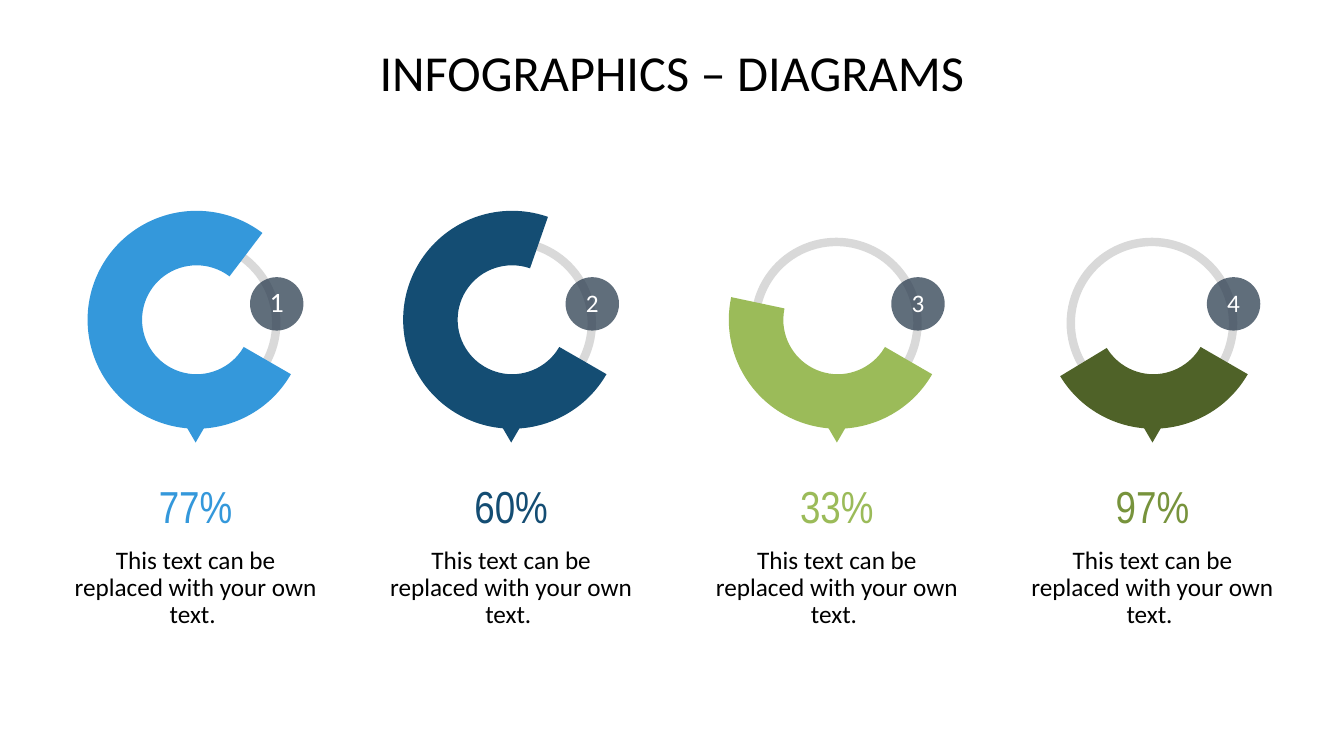
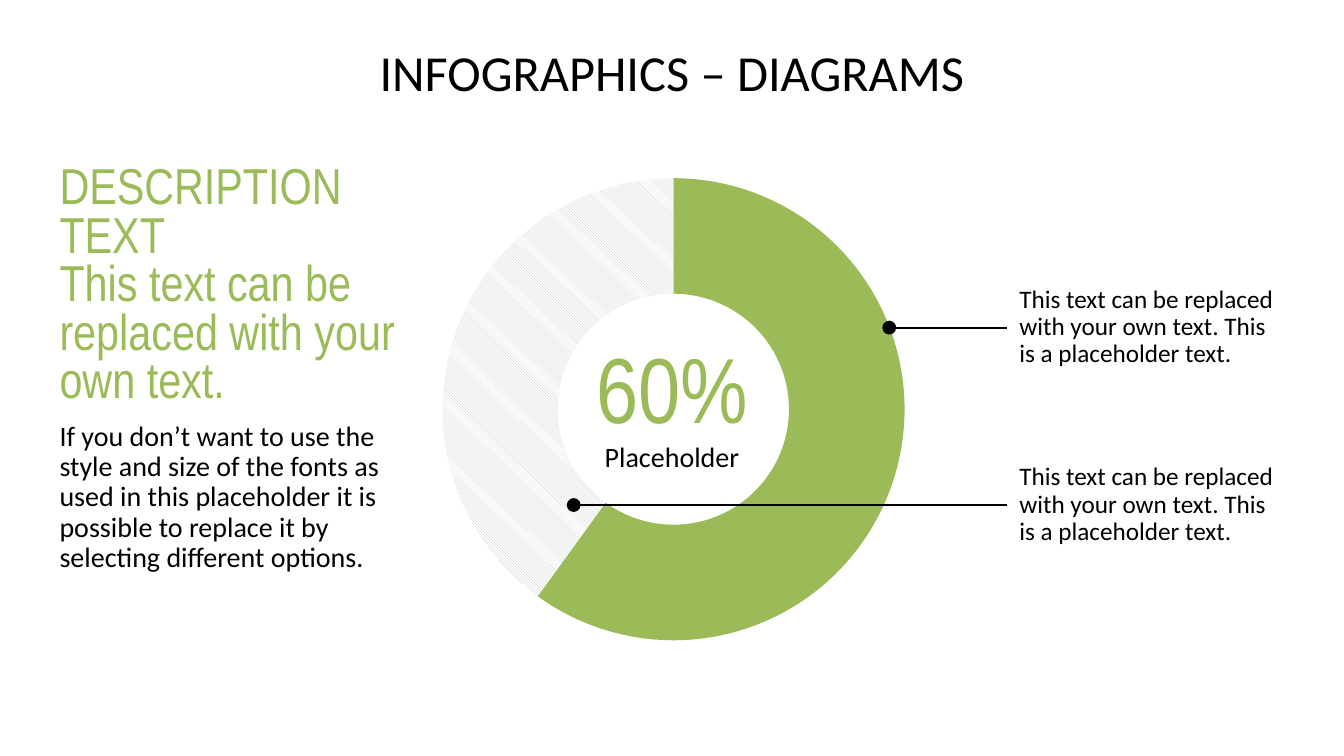
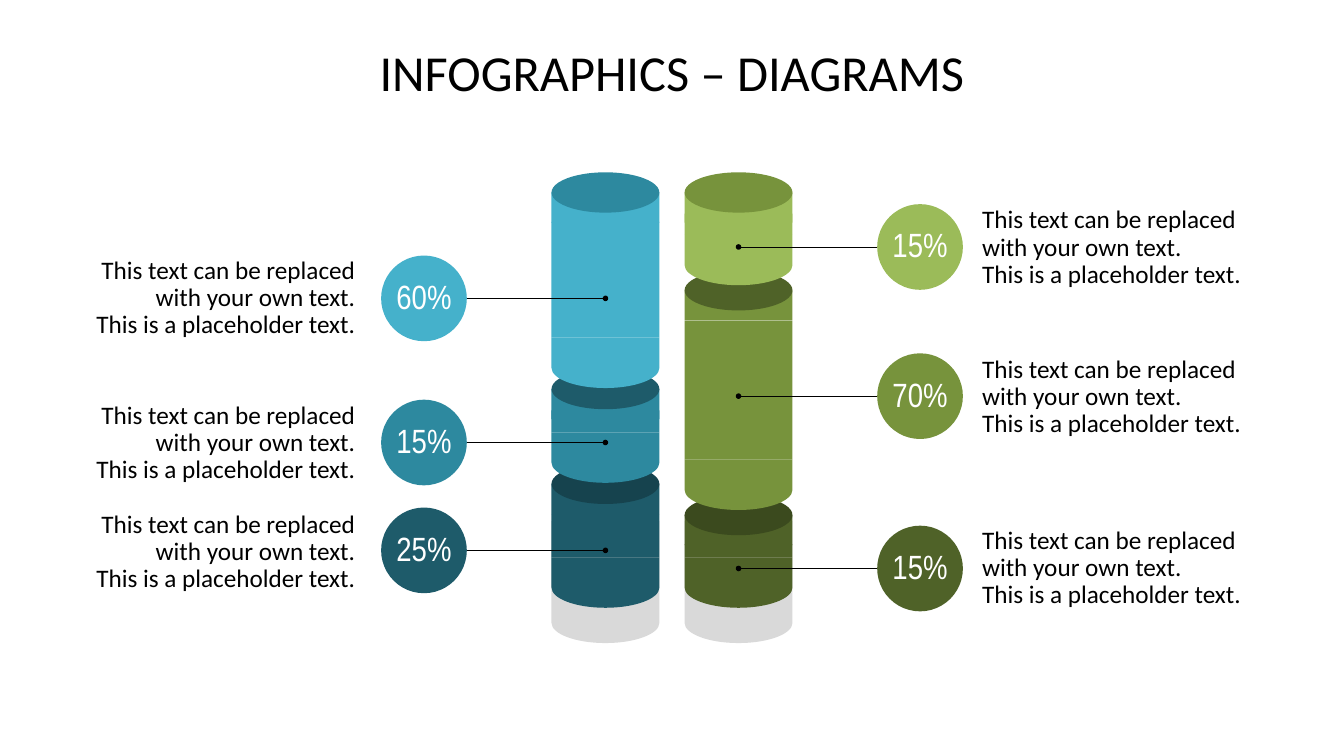
from dataclasses import dataclass

from lxml import etree
from pptx import Presentation
from pptx.chart.data import CategoryChartData
from pptx.dml.color import RGBColor
from pptx.enum.chart import XL_CHART_TYPE
from pptx.enum.dml import MSO_PATTERN
from pptx.enum.shapes import MSO_CONNECTOR, MSO_SHAPE
from pptx.enum.text import MSO_ANCHOR, MSO_AUTO_SIZE, PP_ALIGN
from pptx.oxml.ns import qn
from pptx.util import Inches, Pt

DOUGHNUT = XL_CHART_TYPE.DOUGHNUT
HATCH = MSO_PATTERN.LIGHT_DOWNWARD_DIAGONAL
STRAIGHT = MSO_CONNECTOR.STRAIGHT
OVAL, TRIANGLE = MSO_SHAPE.OVAL, MSO_SHAPE.ISOSCELES_TRIANGLE
RECTANGLE = MSO_SHAPE.RECTANGLE
TOP, MIDDLE = MSO_ANCHOR.TOP, MSO_ANCHOR.MIDDLE
LEFT, CENTER, RIGHT = PP_ALIGN.LEFT, PP_ALIGN.CENTER, PP_ALIGN.RIGHT


@dataclass(frozen=True)
class Theme:
    body_font: str = "Calibri"
    accent_font: str = "Arial Narrow"
    text: str = "000000"
    white: str = "FFFFFF"
    grey: str = "D9D9D9"
    hatch: str = "BFBFBF"
    badge: str = "2C3E50"
    blue: str = "3498DB"
    navy: str = "144D73"
    aqua: str = "45B1CB"
    teal: str = "2D899F"
    deep_teal: str = "1E5B6A"
    dark_teal: str = "16434E"
    lime: str = "9BBB59"
    green: str = "77933C"
    olive: str = "4F6228"
    dark_olive: str = "3B4A1E"
    title_size: int = 36
    body: int = 18
    large: int = 20
    label: int = 24
    figure: int = 32
    heading: int = 36
    hero: int = 66


T = Theme()
WIDTH, HEIGHT = 13.33, 7.5
MARGIN = 0.59
TITLE = "INFOGRAPHICS – DIAGRAMS"


# Text and shape helpers
def rgb(color):
    return RGBColor.from_string(color)


def style(font, size, color, name):
    font.size, font.name = Pt(size), name
    font.color.rgb = rgb(color)


def para(text, size=T.body, color=T.text, font=T.body_font, **layout):
    return text, size, color, font, layout


def write(tf, paras, align=LEFT, anchor=TOP, left=0, right=0):
    tf.word_wrap = True
    tf.auto_size = MSO_AUTO_SIZE.NONE
    tf.vertical_anchor = anchor
    tf.margin_left, tf.margin_right = Inches(left), Inches(right)
    tf.margin_top = tf.margin_bottom = 0
    for i, (text, size, color, font, layout) in enumerate(paras):
        p = tf.add_paragraph() if i else tf.paragraphs[0]
        p.text = text
        p.alignment = align
        p.line_spacing = layout.get("spacing", 0.9)
        p.space_after = Pt(layout.get("after", 10))
        style(p.font, size, color, font)


def text_box(s, x, y, w, h, paras, **layout):
    tb = s.shapes.add_textbox(*map(Inches, (x, y, w, h)))
    write(tb.text_frame, paras, **layout)
    return tb


def paint(sp, fill=None):
    sp.shadow.inherit = False
    sp.line.fill.background()
    if fill:
        sp.fill.solid()
        sp.fill.fore_color.rgb = rgb(fill)
    else:
        sp.fill.background()
    return sp


def add_shape(s, kind, x, y, w, h, fill=None):
    return paint(s.shapes.add_shape(kind, *map(Inches, (x, y, w, h))), fill)


def dotted_line(s, x1, x2, y, width, end, dot):
    line = s.shapes.add_connector(STRAIGHT, *map(Inches, (x1, y, x2, y)))
    line.line.color.rgb = rgb(T.text)
    line.line.width = Pt(width)
    ln = line._element.spPr.find(qn("a:ln"))
    etree.SubElement(ln, qn(f"a:{end}"), type="oval", w=dot, len=dot)
    etree.SubElement(line._element.spPr, qn("a:effectLst"))
    return line


def new_slide(prs):
    s = prs.slides.add_slide(prs.slide_layouts.get_by_name("Title Only"))
    title = s.shapes.title
    write(title.text_frame, [para(TITLE, T.title_size, after=0)], align=CENTER)
    return s


# Doughnut chart with a plot area given as shares of the frame
def doughnut(s, frame, categories, values, plot, hole, start, color):
    data = CategoryChartData()
    data.categories = categories
    data.add_series("Series 1", values)
    chart = s.shapes.add_chart(DOUGHNUT, *map(Inches, frame), data).chart
    chart.has_legend = chart.has_title = False
    style(chart.font, T.body, T.text, T.body_font)
    chart.plots[0].vary_by_categories = True
    points = chart.plots[0].series[0].points
    for i in range(2):
        points[i].format.line.fill.background()
    points[0].format.fill.solid()
    points[0].format.fill.fore_color.rgb = rgb(color)
    points[1].format.fill.background()

    area = chart._chartSpace.find(".//" + qn("c:plotArea"))
    for old in area.findall(qn("c:layout")):
        area.remove(old)
    layout = etree.Element(qn("c:layout"))
    area.insert(0, layout)
    manual = etree.SubElement(layout, qn("c:manualLayout"))
    settings = [("layoutTarget", "inner"), ("xMode", "edge"), ("yMode", "edge")]
    for tag, val in settings + list(zip("xywh", plot)):
        etree.SubElement(manual, qn(f"c:{tag}"), val=str(val))
    area.find(".//" + qn("c:firstSliceAng")).set("val", str(start))
    area.find(".//" + qn("c:holeSize")).set("val", str(hole))
    return points


# Slide 1: one gauge with its number, pointer and caption
def gauge(s, x, y, number, number_size, value, color, percent, percent_color):
    ring = add_shape(s, OVAL, x, y, 1.61, 1.61)
    ring.line.color.rgb = rgb(T.grey)
    ring.line.width = Pt(6)
    doughnut(s, (x - 0.68, y - 0.43, 2.97, 2.43), ["1", "", "", ""],
             (value, 100 - value, None, None),
             (0.14, 0.05, 0.73, 0.89), 55, 120, color)
    pointer = add_shape(s, TRIANGLE, x + 0.67, y + 1.75, 0.28, 0.24, color)
    pointer.rotation = 180
    badge = add_shape(s, OVAL, x + 1.35, y + 0.35, 0.53, 0.53, T.badge)
    clr = badge._element.spPr.find(".//" + qn("a:srgbClr"))
    etree.SubElement(clr, qn("a:alpha"), val="75000")
    write(badge.text_frame, [para(number, number_size, T.white)],
          align=CENTER, anchor=MIDDLE)
    text_box(s, x - 0.4, y + 2.41, 2.42, 1.54, [
        para(percent, T.figure, percent_color, T.accent_font),
        para("This text can be replaced with your own text. "),
    ], align=CENTER)


def gauges_slide(prs):
    s = new_slide(prs)
    for x, *content in (
        (1.13, "1", T.large, 77, T.blue, "77%", T.blue),
        (4.26, "2", T.body, 72, T.navy, "60%", T.navy),
        (7.49, "3", T.body, 45, T.lime, "33%", T.lime),
        (10.62, "4", T.body, 33, T.olive, "97%", T.green),
    ):
        gauge(s, x, 2.4, *content)


# Slide 2: description, large doughnut and two notes
def hero_chart(s, x, y):
    points = doughnut(s, (x, y, 4.99, 4.93), ["1", "2", ""], (60, 40, None),
                      (0.05, 0.03, 0.93, 0.93), 61, 0, T.lime)
    rest = points[1].format.fill
    rest.patterned()
    rest.pattern = HATCH
    rest.fore_color.rgb, rest.back_color.rgb = rgb(T.hatch), rgb(T.white)
    centre = add_shape(s, OVAL, x + 1.31, y + 1.19, 2.49, 2.49)
    tf = centre.text_frame
    write(tf, [para("60%\n", T.hero, T.lime, T.accent_font)],
          align=CENTER, anchor=MIDDLE)
    r = tf.paragraphs[0].add_run()
    r.text = "Placeholder"
    style(r.font, T.large, T.text, T.body_font)


def note(s, x, y, dot_x):
    w, h = 2.71, 1.16
    box = text_box(s, x, y - h / 2, w, h, [para(
        "This text can be replaced \n"
        "with your own text. This is a placeholder text.")],
        anchor=MIDDLE, left=0.12)
    dotted_line(s, dot_x, x, y, 1.5, "headEnd", "lg").end_connect(box, 1)


def doughnut_slide(prs):
    s = new_slide(prs)
    hero_chart(s, 4.11, 1.62)
    text_box(s, MARGIN, 1.65, 3.51, 4.7, [
        para("DESCRIPTION TEXT\nThis text can be replaced with your own text.",
             T.heading, T.lime, T.accent_font, spacing=0.8),
        para("If you don’t want to use the style and size of the fonts as used "
             "in this placeholder it is possible to replace it by selecting "
             "different options.", T.large),
    ])
    for y, dot_x in ((5.01, 5.69), (3.25, 8.82)):
        note(s, 9.99, y, dot_x)


# Slide 3: stacked cylinders with callouts
CYLINDER_W, CAP_H, FOOT_H, COLLAR_H = 1.07, 0.4, 0.5, 0.3


def rounded_foot(s, x, top, color):
    rx, ry, bend = CYLINDER_W / 2, CAP_H / 2, 0.55
    mid, right, bottom = x + rx, x + CYLINDER_W, top + FOOT_H
    side = bottom - ry
    outline = [(x, side),
               (x, side + bend * ry), (mid - bend * rx, bottom), (mid, bottom),
               (mid + bend * rx, bottom), (right, side + bend * ry),
               (right, side), (right, top)]
    fb = s.shapes.build_freeform(Inches(x), Inches(top))
    fb.add_line_segments([(Inches(a), Inches(b)) for a, b in outline])
    foot = paint(fb.convert_to_shape(), color)
    # Each run of three points on the underside becomes one curve
    lines = foot._element.findall(".//" + qn("a:lnTo"))
    for group in (lines[1:4], lines[4:7]):
        curve = etree.Element(qn("a:cubicBezTo"))
        group[0].addprevious(curve)
        for line in group:
            curve.append(line[0])
            line.getparent().remove(line)


def cylinder_stack(s, x, segments):
    add_shape(s, RECTANGLE, x, 5.17, CYLINDER_W, 0.71, T.grey)
    rounded_foot(s, x, 5.88, T.grey)
    for top, body, foot, color, cap in segments:
        collar = top + CAP_H / 2
        add_shape(s, RECTANGLE, x, body, CYLINDER_W, foot - body, color)
        add_shape(s, RECTANGLE, x, collar, CYLINDER_W, COLLAR_H, color)
        add_shape(s, OVAL, x, top, CYLINDER_W, CAP_H, cap)
        rounded_foot(s, x, foot, color)


def callout(s, axis, y, text_y, percent, color, on_left):
    d, text_h = 0.85, 0.96
    circle_x = 3.78 if on_left else 8.7
    edge = 4.62 if on_left else 8.71
    dotted_line(s, edge, axis, y, 0.5, "tailEnd", "sm")
    circle = add_shape(s, OVAL, circle_x, y - d / 2, d, d, color)
    write(circle.text_frame,
          [para(percent, T.label, T.white, T.accent_font)],
          align=CENTER, anchor=MIDDLE)
    text = ("This text can be replaced \nwith your own text. \n"
            "This is a placeholder text.")
    if on_left:
        text_box(s, MARGIN, text_y - text_h / 2, 3.19, text_h,
                 [para(text + " ")], align=RIGHT, anchor=MIDDLE, right=0.2)
    else:
        text_box(s, 9.54, text_y - text_h / 2, 3.21, text_h,
                 [para(text)], anchor=MIDDLE, left=0.2)


def cylinders_slide(prs):
    s = new_slide(prs)
    # Segments, bottom up: tops of cap, body and foot, side and cap colours
    # Labels: heights of circle and text, share
    stacks = (
        (5.47, True,
         ((4.6, 5.1, 5.53, T.deep_teal, T.dark_teal),
          (3.66, 4.07, 4.29, T.teal, T.deep_teal),
          (1.71, 2.2, 3.35, T.aqua, T.teal)),
         ((5.46, 5.48, "25%"), (4.39, 4.4, "15%"), (2.96, 2.96, "60%"))),
        (6.79, False,
         ((4.91, 5.4, 5.53, T.olive, T.dark_olive),
          (2.68, 3.18, 4.56, T.green, T.olive),
          (1.71, 2.12, 2.33, T.lime, T.green)),
         ((5.64, 5.64, "15%"), (3.93, 3.94, "70%"), (2.45, 2.46, "15%"))),
    )
    for x, on_left, segments, labels in stacks:
        cylinder_stack(s, x, segments)
        for segment, (y, text_y, percent) in zip(segments, labels):
            callout(s, x + CYLINDER_W / 2, y, text_y, percent, segment[3],
                    on_left)


def main():
    prs = Presentation()
    prs.slide_width, prs.slide_height = Inches(WIDTH), Inches(HEIGHT)
    # Shared title position
    title = prs.slide_layouts.get_by_name("Title Only").placeholders[0]
    title.left, title.top = Inches(MARGIN), Inches(0.48)
    title.width, title.height = Inches(WIDTH - 2 * MARGIN), Inches(1.18)
    gauges_slide(prs)
    doughnut_slide(prs)
    cylinders_slide(prs)
    prs.save("out.pptx")


if __name__ == "__main__":
    main()
